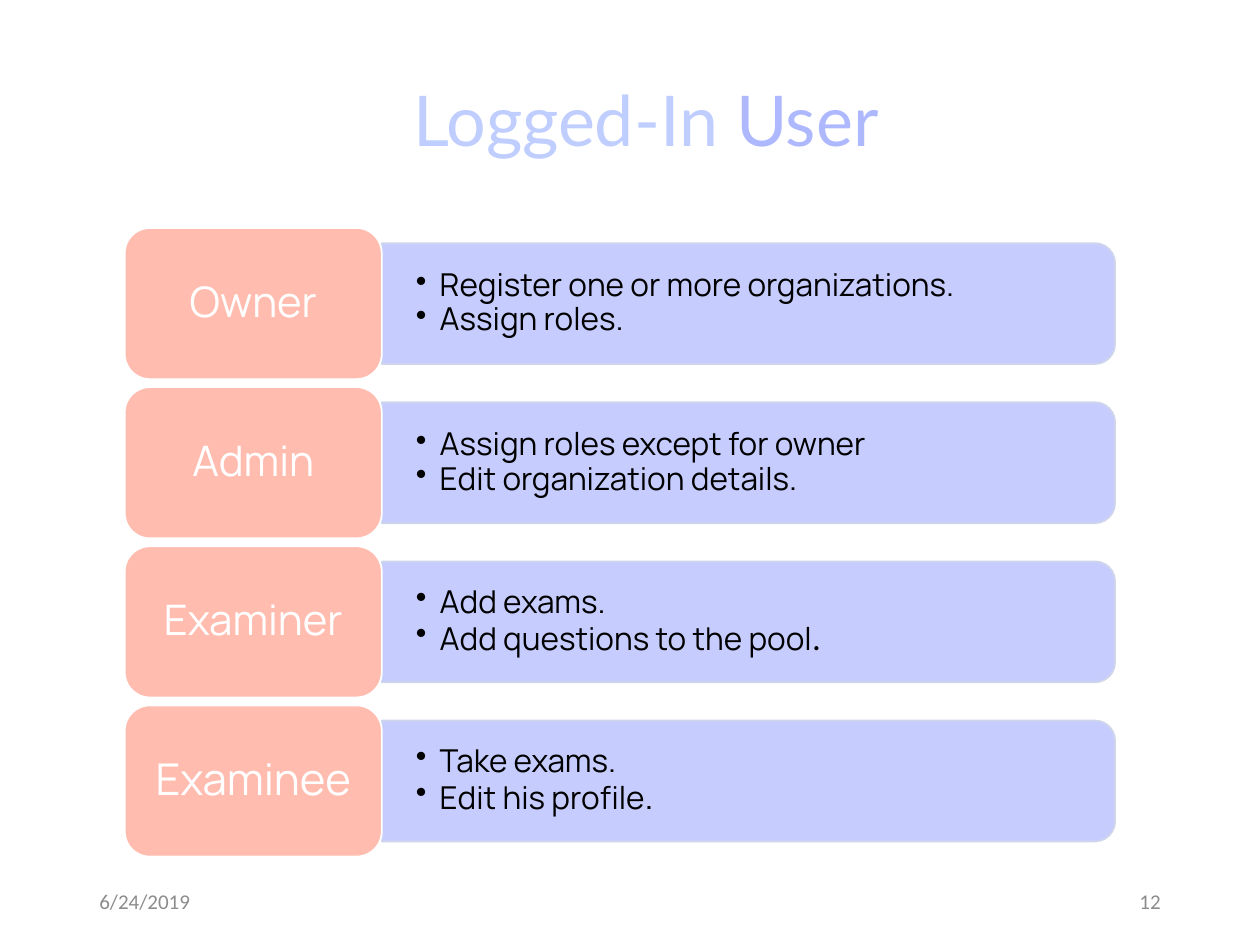
from pptx import Presentation
from pptx.util import Inches, Pt
from pptx.dml.color import RGBColor
from pptx.enum.shapes import MSO_SHAPE as Shape
from pptx.enum.text import PP_ALIGN as Align, MSO_ANCHOR as Anchor, MSO_AUTO_SIZE as Auto
from pptx.oxml.ns import qn
from lxml.etree import SubElement

PALE = RGBColor(0xBF, 0xCE, 0xFF)
LILAC = RGBColor(0xAE, 0xB8, 0xFE)
BLUE = RGBColor(0xA5, 0xB0, 0xFE)
EDGE = RGBColor(0xCF, 0xD5, 0xEA)
CORAL = RGBColor(0xFF, 0x8A, 0x73)
WHITE = RGBColor(0xFF, 0xFF, 0xFF)
BLACK = RGBColor(0, 0, 0)
GRAY = RGBColor(0x8C, 0x8C, 0x8C)

# Role, bullets, and the font of a larger closing dot
ROLES = [
    ("Owner", 24, ["Register one or more organizations.", "Assign roles."], None),
    ("Admin", 24, ["Assign roles except for owner", "Edit organization details."], None),
    ("Examiner", 24, ["Add exams.", "Add questions to the pool"], "Calibri"),
    ("Examinee", 25, ["Take exams.", "Edit his profile"], "Manrope"),
]
TOP, PITCH = 1.81, 1.263
CARD_W, CARD_H = 2.04, 1.2
BAR_X, BAR_W, BAR_H = 3.03, 5.82, 0.96


def style(font, name, size, color):
    font.name, font.size, font.color.rgb = name, Pt(size), color


def paint(shape, color, alpha, edge):
    shape.shadow.inherit = False
    shape.fill.solid()
    shape.fill.fore_color.rgb = color
    tint = shape.fill._xPr.find(".//" + qn("a:srgbClr"))
    SubElement(tint, qn("a:alpha"), val=str(alpha * 1000))
    shape.line.color.rgb = edge
    shape.line.width = Pt(1)


deck = Presentation()
deck.slide_width, deck.slide_height = Inches(10), Inches(7.5)
slide = deck.slides.add_slide(deck.slide_layouts[5])
shapes = slide.shapes

# Title
title = shapes.title
title.left, title.top = Inches(3.18), Inches(0.56)
title.width, title.height = Inches(4.77), Inches(0.77)
frame = title.text_frame
frame.auto_size = Auto.NONE
frame.vertical_anchor = Anchor.TOP
para = frame.paragraphs[0]
para.alignment = Align.LEFT
for word, color in (("Logged-In ", PALE), ("User", LILAC)):
    run = para.add_run()
    run.text = word
    style(run.font, "Lato", 40, color)

# Role rows
for row, (role, size, tasks, dot) in enumerate(ROLES):
    top = TOP + row * PITCH
    mid = top + CARD_H / 2

    # Bar, turned so that its round corners face right
    bar = shapes.add_shape(
        Shape.ROUND_2_SAME_RECTANGLE,
        Inches(BAR_X + (BAR_W - BAR_H) / 2), Inches(mid - BAR_W / 2),
        Inches(BAR_H), Inches(BAR_W))
    bar.rotation = 90
    paint(bar, BLUE, 63, EDGE)

    # Bullets
    box = shapes.add_textbox(Inches(BAR_X), Inches(mid - 0.435), Inches(5.77), Inches(0.87))
    frame = box.text_frame
    frame.word_wrap = True
    frame.vertical_anchor = Anchor.MIDDLE
    frame.margin_left = frame.margin_right = Inches(0.27)
    frame.margin_top = frame.margin_bottom = Inches(0.14)
    frame.text = "\n".join(tasks)
    for para in frame.paragraphs:
        para.line_spacing = 0.9
        style(para.font, "Manrope", 18, BLACK)
        props = para._p.get_or_add_pPr()
        props.set("marL", str(Inches(0.19)))
        props.set("indent", str(-Inches(0.19)))
        bullet = SubElement(props, qn("a:buChar"), char="•")
        props.remove(bullet)
        props.insert_element_before(bullet, "a:tabLst", "a:defRPr", "a:extLst")
        for run in para.runs:
            style(run.font, "Manrope", 18, BLACK)
    if dot:
        run = para.add_run()
        run.text = "."
        style(run.font, dot, 20, BLACK)

    # Role card
    card = shapes.add_shape(Shape.ROUNDED_RECTANGLE, Inches(0.99), Inches(top),
                            Inches(CARD_W), Inches(CARD_H))
    paint(card, CORAL, 57, WHITE)
    frame = card.text_frame
    frame.text = role
    frame.vertical_anchor = Anchor.MIDDLE
    para = frame.paragraphs[0]
    para.alignment = Align.CENTER
    para.line_spacing = 0.9
    style(para.font, "Manrope", size, WHITE)

# Date and page number
for left, text, align in ((0.69, "6/24/2019", Align.LEFT), (7.06, "12", Align.RIGHT)):
    box = shapes.add_textbox(Inches(left), Inches(6.95), Inches(2.25), Inches(0.4))
    frame = box.text_frame
    frame.word_wrap = True
    frame.vertical_anchor = Anchor.MIDDLE
    frame.text = text
    para = frame.paragraphs[0]
    para.alignment = align
    style(para.font, "Calibri", 12, GRAY)

deck.save("out.pptx")
